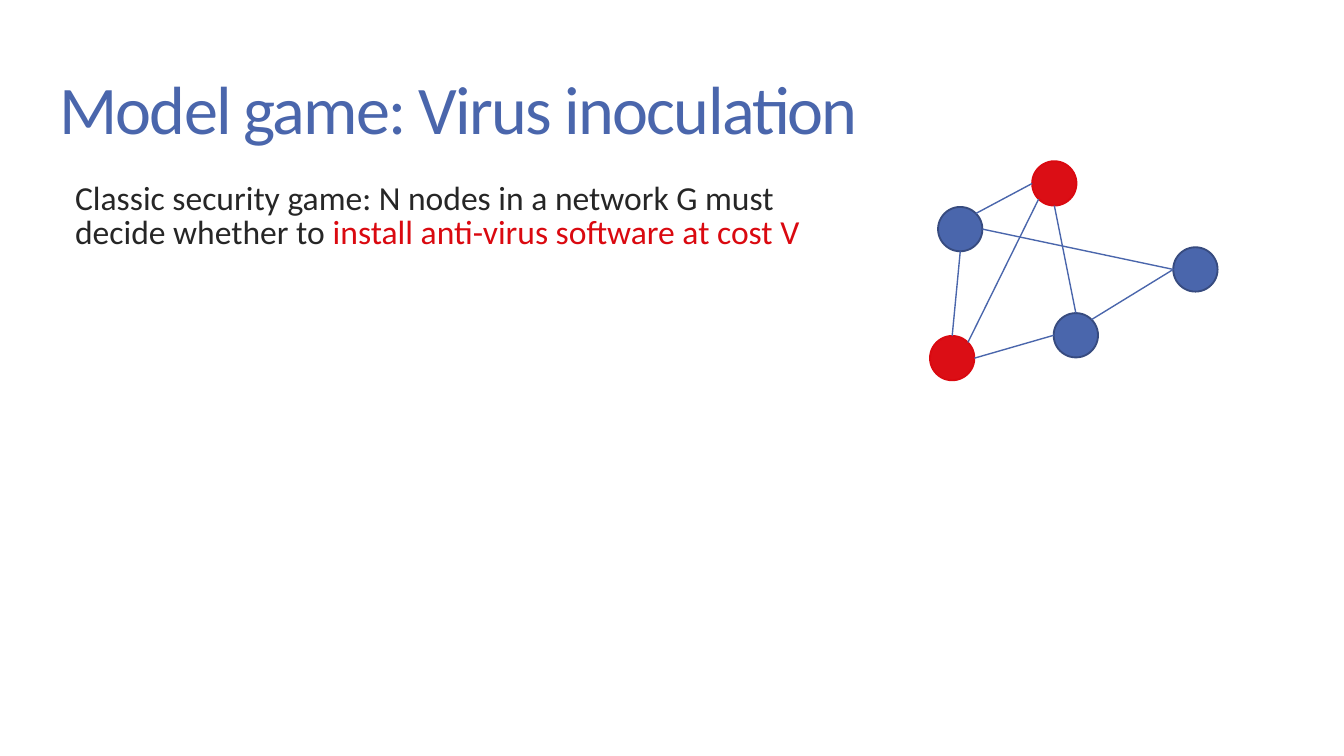
from math import cos, radians, sin

from lxml.etree import SubElement
from pptx import Presentation
from pptx.dml.color import RGBColor
from pptx.enum.shapes import MSO_CONNECTOR, MSO_SHAPE
from pptx.enum.text import MSO_ANCHOR, MSO_AUTO_SIZE, PP_ALIGN
from pptx.oxml.ns import qn
from pptx.util import Inches, Pt

BLUE, DARK_BLUE = "4A66AC", "374B7F"
RED, DARK_RED = "DB0E15", "DA0910"
TEXT = "262626"
SLIDE_WIDTH = 10
SLIDE_HEIGHT = SLIDE_WIDTH * 9 / 16
DIAMETER = 0.33

NODES = {
    "upper left": (6.98, 1.54, BLUE, DARK_BLUE),
    "top": (7.68, 1.2, RED, DARK_RED),
    "lower right": (7.84, 2.33, BLUE, DARK_BLUE),
    "far right": (8.73, 1.84, BLUE, DARK_BLUE),
    "bottom": (6.92, 2.5, RED, DARK_RED),
}

EDGES = [
    ("upper left", 90, "bottom", 270),
    ("top", 180, "upper left", 315),
    ("bottom", 315, "top", 135),
    ("lower right", 180, "bottom", 0),
    ("lower right", 315, "far right", 180),
    ("top", 90, "lower right", 270),
    ("upper left", 0, "far right", 180),
]


def color(value):
    """Return the colour for a hex string."""
    return RGBColor.from_string(value)


def place(shape, left, top, width, height):
    """Move and size a shape, in inches."""
    shape.left, shape.top = Inches(left), Inches(top)
    shape.width, shape.height = Inches(width), Inches(height)


def write_text(shape, parts, size, spacing=0, indent=0):
    """Write one paragraph of (text, colour) parts into a shape."""
    frame = shape.text_frame
    frame.word_wrap = True
    frame.auto_size = MSO_AUTO_SIZE.NONE
    frame.vertical_anchor = MSO_ANCHOR.TOP
    frame.margin_left = frame.margin_right = Inches(0.1)
    frame.margin_top = frame.margin_bottom = Inches(0.1)
    paragraph = frame.paragraphs[0]
    paragraph.alignment = PP_ALIGN.LEFT
    paragraph.line_spacing = 0.85
    paragraph._p.get_or_add_pPr().set("marL", str(Inches(indent)))
    for text, hex_color in parts:
        run = paragraph.add_run()
        run.text = text
        run.font.name = "Calibri"
        run.font.size = Pt(size)
        run.font.color.rgb = color(hex_color)
        run._r.get_or_add_rPr().set("spc", str(round(spacing * 100)))


def add_node(shapes, left, top, fill, line):
    """Add one round network node."""
    shape = shapes.add_shape(MSO_SHAPE.OVAL, Inches(left), Inches(top),
                             Inches(DIAMETER), Inches(DIAMETER))
    shape.shadow.inherit = False
    shape.fill.solid()
    shape.fill.fore_color.rgb = color(fill)
    shape.line.color.rgb = color(line)
    shape.line.width = Pt(1)


def rim_point(name, angle):
    """Return the point on a node's rim, at an angle clockwise from the right."""
    left, top = NODES[name][:2]
    radius = DIAMETER / 2
    return (Inches(left + radius * (1 + cos(radians(angle)))),
            Inches(top + radius * (1 + sin(radians(angle)))))


def add_edge(shapes, start, start_angle, end, end_angle):
    """Add a thin line between the rims of two nodes."""
    connector = shapes.add_connector(MSO_CONNECTOR.STRAIGHT,
                                     *rim_point(start, start_angle),
                                     *rim_point(end, end_angle))
    connector.line.color.rgb = color(BLUE)
    connector.line.width = Pt(0.75)
    SubElement(connector._element.spPr, qn("a:effectLst"))


def main():
    """Build the slide and save it."""
    presentation = Presentation()
    presentation.slide_width = Inches(SLIDE_WIDTH)
    presentation.slide_height = Inches(SLIDE_HEIGHT)
    slide = presentation.slides.add_slide(presentation.slide_layouts[5])

    title = slide.shapes.title
    place(title, 0.34, 0.49, 9.32, 0.63)
    write_text(title, [("Model game: Virus inoculation", BLUE)], size=36.5, spacing=-0.9)

    body = slide.shapes.add_textbox(0, 0, 0, 0)
    place(body, 0.34, 1.26, 6.15, 4.72)
    write_text(body, [
        ("Classic security game: N nodes in a network G must decide whether to ", TEXT),
        ("install anti-virus software at cost V", DARK_RED),
    ], size=18, indent=0.12)

    network = slide.shapes.add_group_shape()
    for node in NODES.values():
        add_node(network.shapes, *node)
    for edge in EDGES:
        add_edge(network.shapes, *edge)

    presentation.save("out.pptx")


if __name__ == "__main__":
    main()
